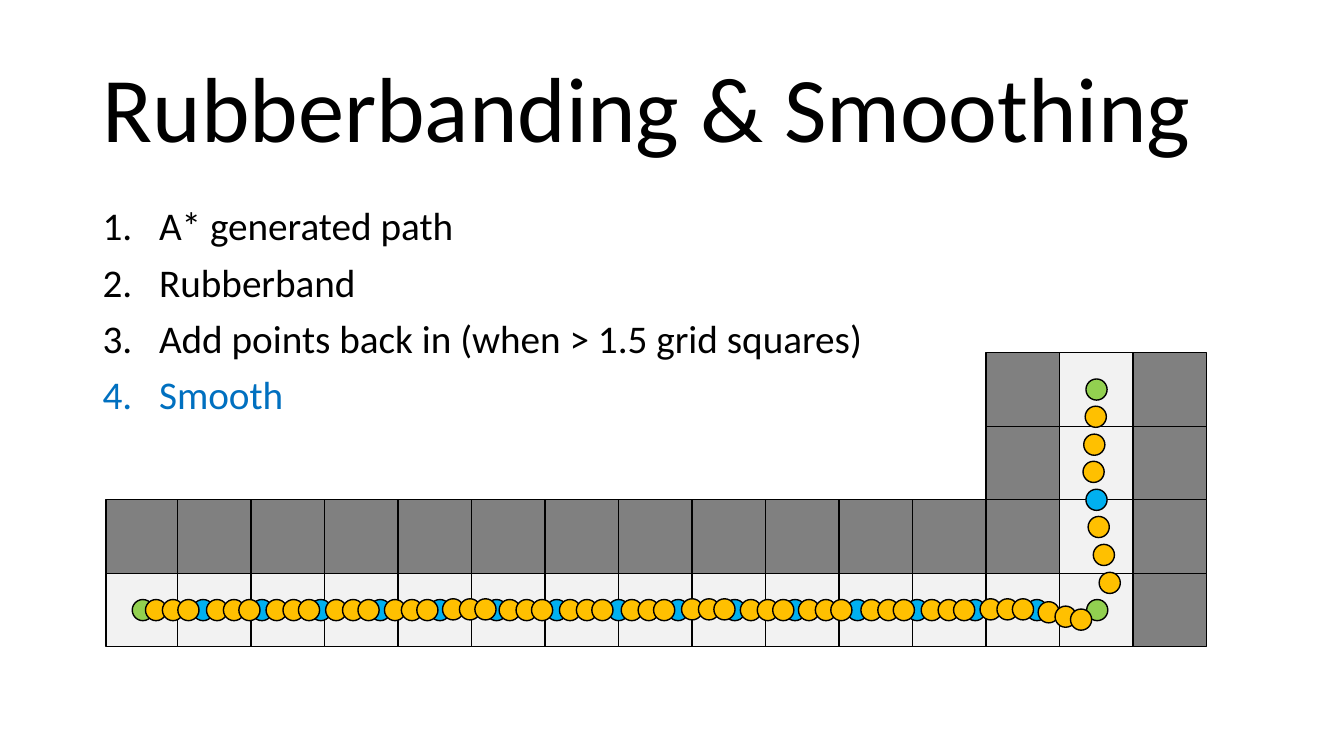
from lxml.etree import SubElement
from pptx import Presentation
from pptx.dml.color import RGBColor
from pptx.enum.shapes import MSO_SHAPE as Preset
from pptx.enum.text import MSO_ANCHOR as Anchor
from pptx.oxml.ns import qn
from pptx.util import Inches, Pt

BLACK, WALL, FLOOR = "000000", "808080", "F2F2F2"
GREEN, BLUE, ORANGE, ACCENT = "92D050", "00B0F0", "FFC000", "0070C0"

# Dot centres in columns and rows of the map
CORRIDOR = 3.5
ENDS = [(0.53, CORRIDOR), (13.51, CORRIDOR), (13.5, 0.5)]
STOPS = [1.35, 2.15, 2.95, 3.76, 4.57, 5.34, 6.16, 7, 7.81, 8.58, 9.4,
         10.25, 11.06, 11.85, 12.69]
TRIPLES = [0.71, 1.54, 2.35, 3.16, 3.96, 4.75, 5.52, 6.34, 7.18, 8, 8.8,
           9.59, 10.44, 11.26, 12.06, 12.85]
TRIPLE_OFFSETS = [0, 0.23, 0.44]
RAISED = {4.75: [3.49] * 3, 8: [3.49] * 3, 12.06: [3.49] * 3,
          12.85: [3.53, 3.59, 3.63]}
CLIMB = [(13.6, 2.75), (13.53, 2.37), (13.68, 3.13), (13.47, 1.25),
         (13.46, 1.62), (13.49, 0.87)]


def colour(hex_string):
    return RGBColor.from_string(hex_string)


def add_text(paragraph, text, *, size, fill=BLACK, font="Calibri",
             before=0, numbered=False):
    paragraph.line_spacing = 0.9
    paragraph.space_before = Pt(before)
    if numbered:
        properties = paragraph._p.get_or_add_pPr()
        properties.set("marL", str(Inches(0.56)))
        properties.set("indent", str(-Inches(0.56)))
        SubElement(properties, qn("a:buFont"), typeface="+mj-lt")
        SubElement(properties, qn("a:buAutoNum"), type="arabicPeriod")
    run = paragraph.add_run()
    run.text = text
    run.font.name = font
    run.font.size = Pt(size)
    run.font.color.rgb = colour(fill)


class MapSlide:
    """Slide with a square grid; cells and dots are placed by column and row."""
    left, top = 1.03, 3.5
    cell_size = 10.21 / 14
    dot_size = 0.21

    def __init__(self, presentation):
        self.slide = presentation.slides.add_slide(presentation.slide_layouts[6])
        self.width = presentation.slide_width
        self.height = presentation.slide_height

    def text_box(self, x, y, width, height, anchor=Anchor.TOP):
        """Lengths are shares of the slide's size."""
        box = self.slide.shapes.add_textbox(
            round(x * self.width), round(y * self.height),
            round(width * self.width), round(height * self.height))
        frame = box.text_frame
        frame.word_wrap = True
        frame.vertical_anchor = anchor
        return frame

    def figure(self, preset, column, row, size, fill):
        shape = self.slide.shapes.add_shape(
            preset, Inches(self.left + column * self.cell_size),
            Inches(self.top + row * self.cell_size), Inches(size), Inches(size))
        shape.shadow.inherit = False
        shape.fill.solid()
        shape.fill.fore_color.rgb = colour(fill)
        shape.line.color.rgb = colour(BLACK)
        shape.line.width = Pt(1)

    def cell(self, column, row, fill):
        self.figure(Preset.RECTANGLE, column, row, self.cell_size, fill)

    def dot(self, column, row, fill):
        radius = self.dot_size / self.cell_size / 2
        self.figure(Preset.OVAL, column - radius, row - radius, self.dot_size, fill)


def main():
    presentation = Presentation()
    presentation.slide_width = Inches(13.33)
    presentation.slide_height = Inches(7.5)
    page = MapSlide(presentation)

    # Title
    title = page.text_box(0.069, 0.053, 0.863, 0.193, Anchor.MIDDLE)
    add_text(title.paragraphs[0], "Rubberbanding & Smoothing", size=66)

    # Numbered steps
    steps = [("A* generated path", BLACK), ("Rubberband", BLACK),
             ("Add points back in (when > 1.5 grid squares)", BLACK),
             ("Smooth", ACCENT)]
    body = page.text_box(0.069, 0.267, 0.863, 0.635)
    for index, (step, fill) in enumerate(steps):
        paragraph = body.add_paragraph() if index else body.paragraphs[0]
        add_text(paragraph, step, size=28, fill=fill,
                 before=10 if index else 0, numbered=True)

    # Map: an L-shaped floor between walls, bottom row first
    for row, first_column in [(3, 0), (2, 0), (1, 12), (0, 12)]:
        for column in range(first_column, 15):
            is_floor = column == 13 or (row == 3 and column < 13)
            # The first column sits slightly to the right
            page.cell(column or 0.03, row, FLOOR if is_floor else WALL)

    # Path ends and corner
    for column, row in ENDS:
        page.dot(column, row, GREEN)

    # Points added back in
    for column, row in [(13.5, 2)] + [(stop, CORRIDOR) for stop in STOPS]:
        page.dot(column, row, BLUE)

    # Smoothed points
    for start in TRIPLES:
        rows = RAISED.get(start, [CORRIDOR] * 3)
        for offset, row in zip(TRIPLE_OFFSETS, rows):
            page.dot(start + offset, row, ORANGE)
    for column, row in CLIMB:
        page.dot(column, row, ORANGE)

    presentation.save("out.pptx")


if __name__ == "__main__":
    main()
